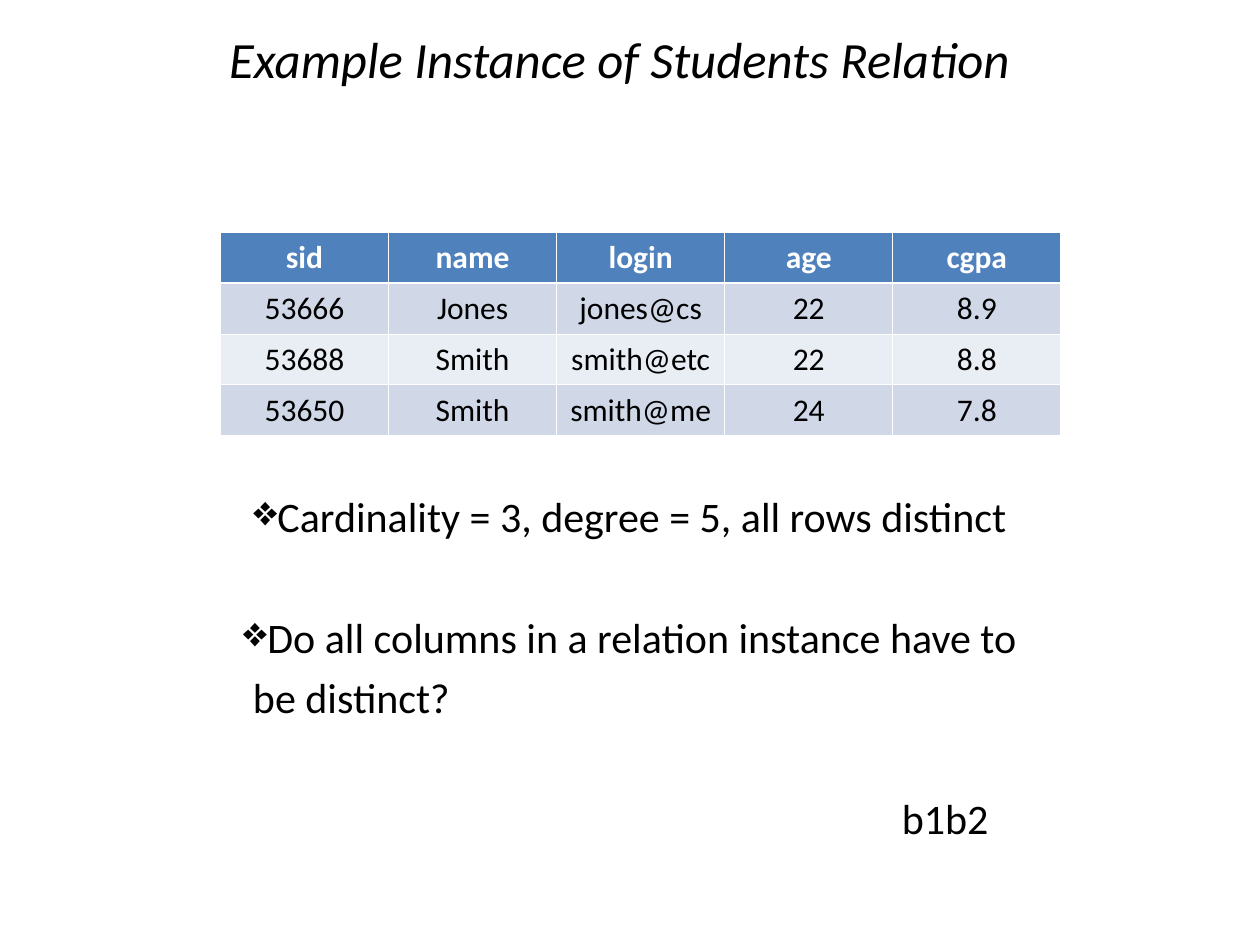
from lxml.etree import SubElement
from pptx import Presentation
from pptx.dml.color import RGBColor
from pptx.enum.text import MSO_ANCHOR, PP_ALIGN
from pptx.oxml.ns import qn
from pptx.util import Inches, Pt

BLACK = RGBColor(0x00, 0x00, 0x00)
WHITE = RGBColor(0xFF, 0xFF, 0xFF)
HEADER_BLUE = RGBColor(0x4F, 0x81, 0xBD)
BAND_DARK = RGBColor(0xD0, 0xD8, 0xE8)
BAND_LIGHT = RGBColor(0xE9, 0xED, 0xF4)


def add_span(para, text, size, color=BLACK, bold=False, italic=False):
    span = para.add_run()
    span.text = text
    font = span.font
    font.name, font.size = "Calibri", Pt(size)
    font.bold, font.italic = bold, italic
    font.color.rgb = color


def add_border(cell, side, width):
    line = SubElement(cell._tc.get_or_add_tcPr(), qn(f"a:{side}"), w=str(Pt(width)))
    fill = SubElement(line, qn("a:solidFill"))
    SubElement(fill, qn("a:srgbClr"), val=str(WHITE))


deck = Presentation()
deck.slide_width, deck.slide_height = Inches(10), Inches(7.5)
page = deck.slides.add_slide(deck.slide_layouts[5])

# Title
title = page.shapes.title
title.left, title.top = Inches(0.67), Inches(0)
title.width, title.height = Inches(8.5), Inches(0.92)
title.text_frame.vertical_anchor = MSO_ANCHOR.MIDDLE
para = title.text_frame.paragraphs[0]
para.alignment = PP_ALIGN.CENTER
add_span(para, "Example Instance of Students Relation", 29, italic=True)

# Remarks: text, bulleted, left indent in inches, space before in points
remarks = [
    ("Cardinality = 3, degree = 5, all rows distinct", True, 0, 0),
    ("Do all columns in a relation instance have to", True, 0, 40.4),
    ("be distinct?", False, 1.41, 5.4),
    ("b1b2", False, 6.56, 40.4),
]
box = page.shapes.add_textbox(Inches(0.5), Inches(0.92), Inches(9), Inches(6))
frame = box.text_frame
frame.word_wrap = True
frame.margin_top = Inches(2.97)
for index, (text, bulleted, indent, gap) in enumerate(remarks):
    para = frame.paragraphs[0] if index == 0 else frame.add_paragraph()
    para.alignment = PP_ALIGN.CENTER if bulleted else PP_ALIGN.LEFT
    para.space_before = Pt(gap)
    props = para._p.get_or_add_pPr()
    props.set("marL", str(Inches(indent)))
    props.set("indent", "0")
    if bulleted:
        SubElement(props, qn("a:buChar"), char="❖")
    add_span(para, text, 24)

# Students table
students = [
    ("sid", "name", "login", "age", "cgpa"),
    ("53666", "Jones", "jones@cs", "22", "8.9"),
    ("53688", "Smith", "smith@etc", "22", "8.8"),
    ("53650", "Smith", "smith@me", "24", "7.8"),
]
row_fills = [HEADER_BLUE, BAND_DARK, BAND_LIGHT, BAND_DARK]
table = page.shapes.add_table(
    len(students), len(students[0]),
    Inches(1.75), Inches(1.84), Inches(6.67), Inches(1.62),
).table
for row_index, record in enumerate(students):
    is_header = row_index == 0
    for column_index, value in enumerate(record):
        cell = table.cell(row_index, column_index)
        for side in ("lnL", "lnR", "lnT", "lnB"):
            under_header = (row_index, side) in ((0, "lnB"), (1, "lnT"))
            add_border(cell, side, 1.47 if under_header else 0.45)
        cell.fill.solid()
        cell.fill.fore_color.rgb = row_fills[row_index]
        para = cell.text_frame.paragraphs[0]
        para.alignment = PP_ALIGN.CENTER
        add_span(para, value, 18, WHITE if is_header else BLACK, bold=is_header)

deck.save("out.pptx")
